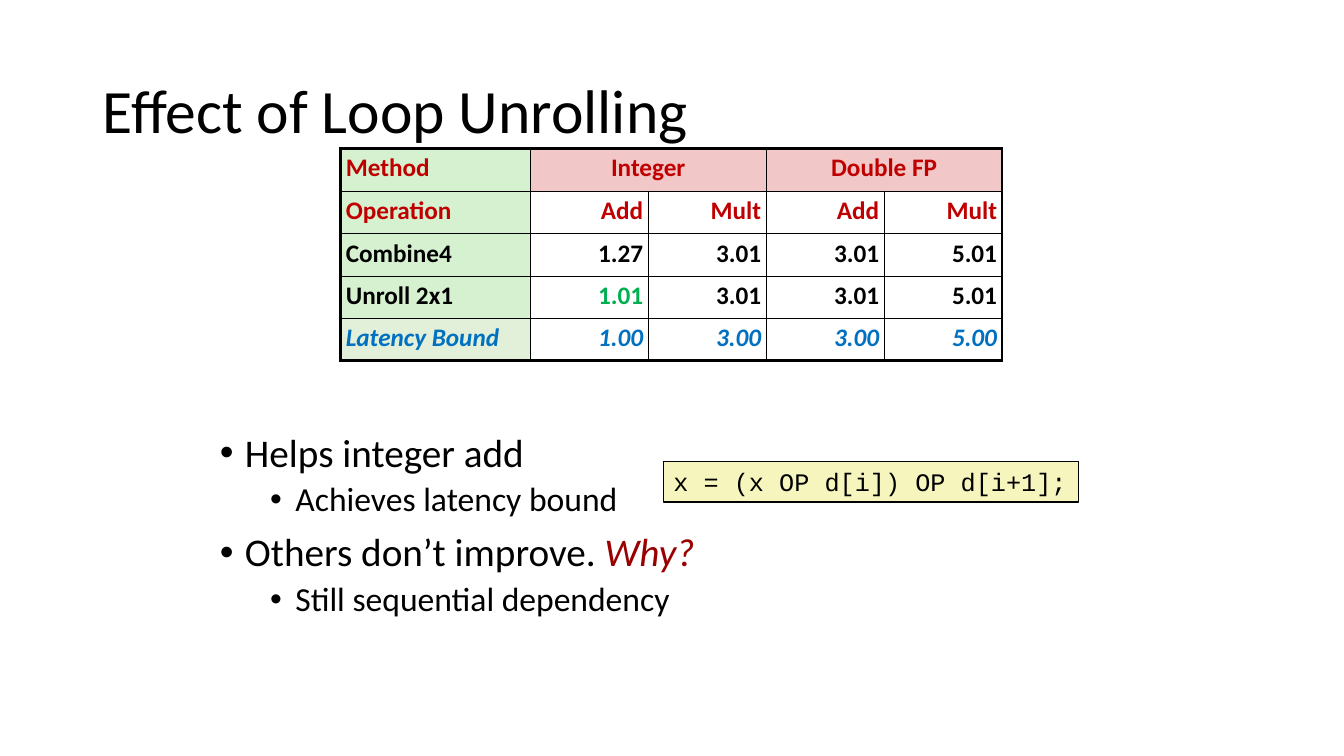
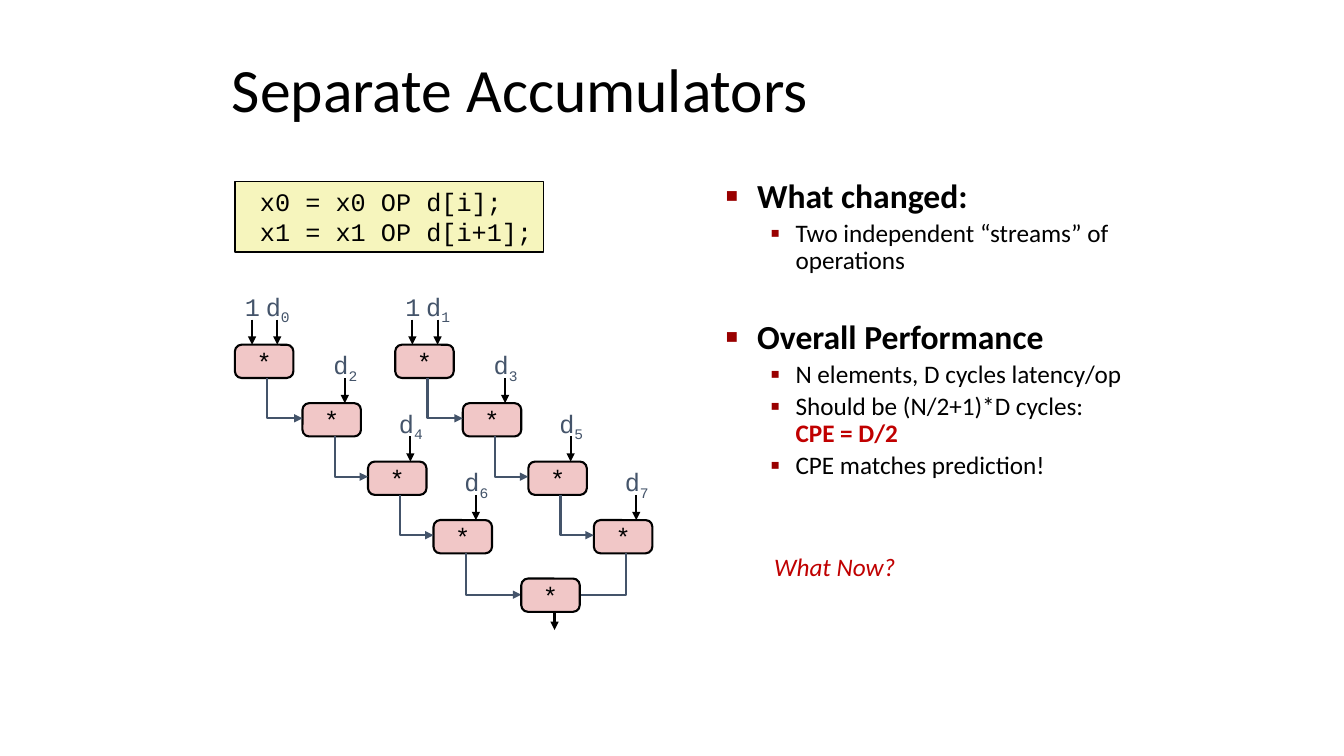
from pptx import Presentation
from pptx.dml.color import RGBColor
from pptx.enum.shapes import MSO_CONNECTOR as Connector, MSO_SHAPE as Preset
from pptx.enum.text import MSO_ANCHOR as Anchor, MSO_AUTO_SIZE as AutoSize, PP_ALIGN as Align
from pptx.oxml.ns import qn
from pptx.util import Inches, Pt
from lxml.etree import SubElement

COLORS = {
    "black": "000000", "slate": "44546A", "dark_red": "990000", "red": "C00000",
    "green": "00B050", "blue": "0070C0", "pink": "F1C7C7", "mint": "D5F1CF",
    "sage": "E2F0D9", "cream": "F6F5BD",
}
BODY_FONT = "Calibri"
CODE_FONT = "Courier New"
NODE_WIDTH, NODE_HEIGHT = 0.58, 0.33
ROW_PITCH = 0.58
STREAM_PITCH = 1.59
NODE_OFFSETS = (0, 0.67, 1.32, 1.97)

PLAIN_BULLETS = [
    {"char": "•", "indent": 0.25, "hanging": 0.25, "size": 28, "before": 10, "spacing": 0.9},
    {"char": "•", "indent": 0.75, "hanging": 0.25, "size": 24, "before": 5, "spacing": 0.9},
]
SQUARE_BULLETS = [
    {"char": "■", "indent": 0.31, "hanging": 0.31, "size": 24, "before": 34, "spacing": 0.85,
     "color": "dark_red", "percent": 60, "bold": True},
    {"char": "▪", "indent": 0.69, "hanging": 0.25, "size": 18, "before": 4, "spacing": 0.88,
     "color": "dark_red", "percent": 110},
]


def rgb(name):
    return RGBColor.from_string(COLORS[name])


def box(left, top, width, height):
    return [Inches(value) for value in (left, top, width, height)]


def set_font(font, size=18, color="black", name=BODY_FONT, bold=False, italic=False):
    font.size = Pt(size)
    font.name = name
    font.bold = bold
    font.italic = italic
    font.color.rgb = rgb(color)


def set_insets(frame, horizontal, vertical):
    frame.margin_left = frame.margin_right = Inches(horizontal)
    frame.margin_top = frame.margin_bottom = Inches(vertical)


def style_line(line, color, width, arrow=False):
    line.color.rgb = rgb(color)
    line.width = Pt(width)
    if arrow:
        SubElement(line._get_or_add_ln(), qn("a:tailEnd"), type="triangle")


def place(shape, area):
    shape.left, shape.top, shape.width, shape.height = box(*area)


def add_titled_slide(presentation, title, area):
    slide = presentation.slides.add_slide(presentation.slide_layouts[1])
    place(slide.shapes.title, area)
    frame = slide.shapes.title.text_frame
    frame.text = title
    frame.auto_size = AutoSize.NONE
    frame.vertical_anchor = Anchor.MIDDLE
    paragraph = frame.paragraphs[0]
    paragraph.alignment = Align.LEFT
    paragraph.line_spacing = 0.9
    set_font(paragraph.font, 44)
    return slide


def set_bullet(paragraph, style):
    properties = paragraph._p.get_or_add_pPr()
    properties.set("marL", str(Inches(style["indent"])))
    properties.set("indent", str(-Inches(style["hanging"])))
    if "color" in style:
        bullet_color = SubElement(properties, qn("a:buClr"))
        SubElement(bullet_color, qn("a:srgbClr"), val=COLORS[style["color"]])
        SubElement(properties, qn("a:buSzPct"), val=str(style["percent"] * 1000))
    SubElement(properties, qn("a:buFont"), typeface="Arial")
    SubElement(properties, qn("a:buChar"), char=style["char"])


def fill_body(slide, area, styles, items):
    body = slide.placeholders[1]
    place(body, area)
    frame = body.text_frame
    frame.auto_size = AutoSize.NONE
    for index, (level, text, *accent) in enumerate(items):
        style = styles[level]
        paragraph = frame.paragraphs[0] if index == 0 else frame.add_paragraph()
        paragraph.text = text
        paragraph.level = level
        paragraph.line_spacing = style["spacing"]
        paragraph.space_before = Pt(style["before"] if index else 0)
        set_bullet(paragraph, style)
        set_font(paragraph.font, style["size"], bold=style.get("bold", False))
        if accent:
            run = paragraph.add_run()
            run.text, look = accent
            set_font(run.font, style["size"], **look)


def add_code_box(slide, area, lines):
    shape = slide.shapes.add_shape(Preset.RECTANGLE, *box(*area))
    shape.shadow.inherit = False
    shape.fill.solid()
    shape.fill.fore_color.rgb = rgb("cream")
    style_line(shape.line, "black", 1)
    frame = shape.text_frame
    frame.word_wrap = False
    frame.vertical_anchor = Anchor.TOP
    set_insets(frame, 0.1, 0.05)
    frame.text = "\n".join(lines)
    for paragraph in frame.paragraphs:
        paragraph.alignment = Align.LEFT
        set_font(paragraph.font, name=CODE_FONT)


def set_borders(cell, widths):
    properties = cell._tc.get_or_add_tcPr()
    for side in ("L", "R", "T", "B"):
        line = SubElement(properties, qn(f"a:ln{side}"), w=str(Pt(widths[side])))
        fill = SubElement(line, qn("a:solidFill"))
        SubElement(fill, qn("a:srgbClr"), val=COLORS["black"])


def cell_look(row, column, last_row):
    if row < 2:
        color = "red"
    elif row == last_row:
        color = "blue"
    else:
        color = "green" if (row, column) == (3, 1) else "black"
    if column == 0:
        fill = "sage" if row == last_row else "mint"
        return color, fill, Align.LEFT
    return (color, "pink", Align.CENTER) if row == 0 else (color, None, Align.RIGHT)


def add_timing_table(slide, area, rows):
    last_row, last_column = len(rows) - 1, len(rows[0]) - 1
    table = slide.shapes.add_table(len(rows), len(rows[0]), *box(*area)).table
    table.first_row = table.horz_banding = False
    for index, column in enumerate(table.columns):
        column.width = Inches(1.17 if index else 1.88)
    for index, row in enumerate(table.rows):
        row.height = Inches(0.42 if index else 0.43)
    for first in (1, 3):
        table.cell(0, first).merge(table.cell(0, first + 1))
    for row, texts in enumerate(rows):
        for column, text in enumerate(texts):
            cell = table.cell(row, column)
            color, fill, alignment = cell_look(row, column, last_row)
            outer = {
                "L": column == 0, "R": column + cell.span_width - 1 == last_column,
                "T": row == 0, "B": row == last_row,
            }
            set_borders(cell, {side: 2.25 if edge else 1 for side, edge in outer.items()})
            if fill:
                cell.fill.solid()
                cell.fill.fore_color.rgb = rgb(fill)
            else:
                cell.fill.background()
            set_insets(cell, 0.05, 0.05)
            if text:
                cell.text = text
                paragraph = cell.text_frame.paragraphs[0]
                paragraph.alignment = alignment
                paragraph.line_spacing = 0.95
                set_font(paragraph.font, color=color, bold=True, italic=row == last_row)


def add_down_arrow(slide, x, top):
    arrow = slide.shapes.add_connector(
        Connector.STRAIGHT, Inches(x), Inches(top), Inches(x), Inches(top + 0.25))
    style_line(arrow.line, "black", 1.5, arrow=True)
    SubElement(arrow._element.spPr, qn("a:effectLst"))


def add_elbow(slide, start, end, arrow=True):
    points = [(Inches(x), Inches(y)) for x, y in (start, (start[0], end[1]), end)]
    builder = slide.shapes.build_freeform(*points[0])
    builder.add_line_segments(points[1:], close=False)
    elbow = builder.convert_to_shape()
    elbow.shadow.inherit = False
    elbow.fill.background()
    style_line(elbow.line, "slate", 1.5, arrow)


def add_node(slide, left, top):
    node = slide.shapes.add_shape(
        Preset.ROUNDED_RECTANGLE, *box(left, top, NODE_WIDTH, NODE_HEIGHT))
    node.adjustments[0] = 0.2
    node.shadow.inherit = False
    node.fill.solid()
    node.fill.fore_color.rgb = rgb("pink")
    style_line(node.line, "black", 1.5)
    frame = node.text_frame
    frame.word_wrap = False
    frame.vertical_anchor = Anchor.MIDDLE
    paragraph = frame.paragraphs[0]
    paragraph.text = "*"
    paragraph.alignment = Align.CENTER
    set_font(paragraph.font, name=CODE_FONT)


def add_label(slide, area, text, subscript=""):
    frame = slide.shapes.add_textbox(*box(*area)).text_frame
    frame.word_wrap = False
    set_insets(frame, 0.05, 0.05)
    paragraph = frame.paragraphs[0]
    paragraph.text = text
    paragraph.alignment = Align.CENTER
    set_font(paragraph.font, color="slate", name=CODE_FONT)
    if subscript:
        run = paragraph.add_run()
        run.text = subscript
        run._r.get_or_add_rPr().set("baseline", "-25000")


def add_stream(slide, left, top, first_index):
    previous = None
    for row, offset in enumerate(NODE_OFFSETS):
        x, y = left + offset, top + row * ROW_PITCH
        add_node(slide, x, y)
        add_down_arrow(slide, x + 0.42, y - 0.25)
        add_label(slide, (x + 0.25, y - 0.58, 0.35, 0.4), "d", str(first_index + 2 * row))
        if previous:
            add_elbow(slide, previous, (x, y + 0.15))
        else:
            add_down_arrow(slide, x + 0.17, y - 0.25)
            add_label(slide, (x + 0.05, y - 0.58, 0.25, 0.4), "1")
        previous = (x + 0.32, y + NODE_HEIGHT)
    return previous


def add_accumulator_diagram(slide, left, top):
    sum_left, sum_top = left + 2.84, top + len(NODE_OFFSETS) * ROW_PITCH
    add_down_arrow(slide, sum_left + 0.33, sum_top + 0.26)
    outputs = [add_stream(slide, left + i * STREAM_PITCH, top, i) for i in range(2)]
    add_elbow(slide, outputs[0], (sum_left, sum_top + 0.16))
    add_elbow(slide, outputs[1], (sum_left + NODE_WIDTH, sum_top + 0.16), arrow=False)
    add_node(slide, sum_left, sum_top)


def add_closing_question(slide, area, text):
    frame = slide.shapes.add_textbox(*box(*area)).text_frame
    frame.word_wrap = False
    frame.text = text
    set_font(frame.paragraphs[0].font, color="red", italic=True)


def build_unrolling_slide(presentation):
    slide = add_titled_slide(presentation, "Effect of Loop Unrolling", (0.92, 0.4, 11.5, 1.45))
    fill_body(slide, (2.08, 4.25, 9.09, 2.92), PLAIN_BULLETS, [
        (0, "Helps integer add"),
        (1, "Achieves latency bound"),
        (0, "Others don’t improve. ", "Why?", {"color": "dark_red", "italic": True}),
        (1, "Still sequential dependency"),
    ])
    add_code_box(slide, (6.58, 4.58, 4.12, 0.4), ["x = (x OP d[i]) OP d[i+1];"])
    add_timing_table(slide, (3.38, 1.47, 6.56, 2.11), [
        ("Method", "Integer", "", "Double FP", ""),
        ("Operation", "Add", "Mult", "Add", "Mult"),
        ("Combine4", "1.27", "3.01", "3.01", "5.01"),
        ("Unroll 2x1", "1.01", "3.01", "3.01", "5.01"),
        ("Latency Bound", "1.00", "3.00", "3.00", "5.00"),
    ])


def build_accumulators_slide(presentation):
    slide = add_titled_slide(presentation, "Separate Accumulators", (2.2, 0.5, 8.3, 0.83))
    add_accumulator_diagram(slide, 2.33, 3.42)
    add_code_box(slide, (2.33, 1.8, 3.06, 0.7), [" x0 = x0 OP d[i];", " x1 = x1 OP d[i+1];"])
    fill_body(slide, (7.1, 1.75, 4.32, 3.42), SQUARE_BULLETS, [
        (0, "What changed:"),
        (1, "Two independent “streams” of operations"),
        (0, "Overall Performance"),
        (1, "N elements, D cycles latency/op"),
        (1, "Should be (N/2+1)*D cycles:\v", "CPE = D/2", {"color": "red", "bold": True}),
        (1, "CPE matches prediction!"),
    ])
    add_closing_question(slide, (7.58, 5.42, 1.42, 0.4), "What Now?")


def main():
    presentation = Presentation()
    presentation.slide_width, presentation.slide_height = Inches(13.33), Inches(7.5)
    build_unrolling_slide(presentation)
    build_accumulators_slide(presentation)
    presentation.save("out.pptx")


if __name__ == "__main__":
    main()
